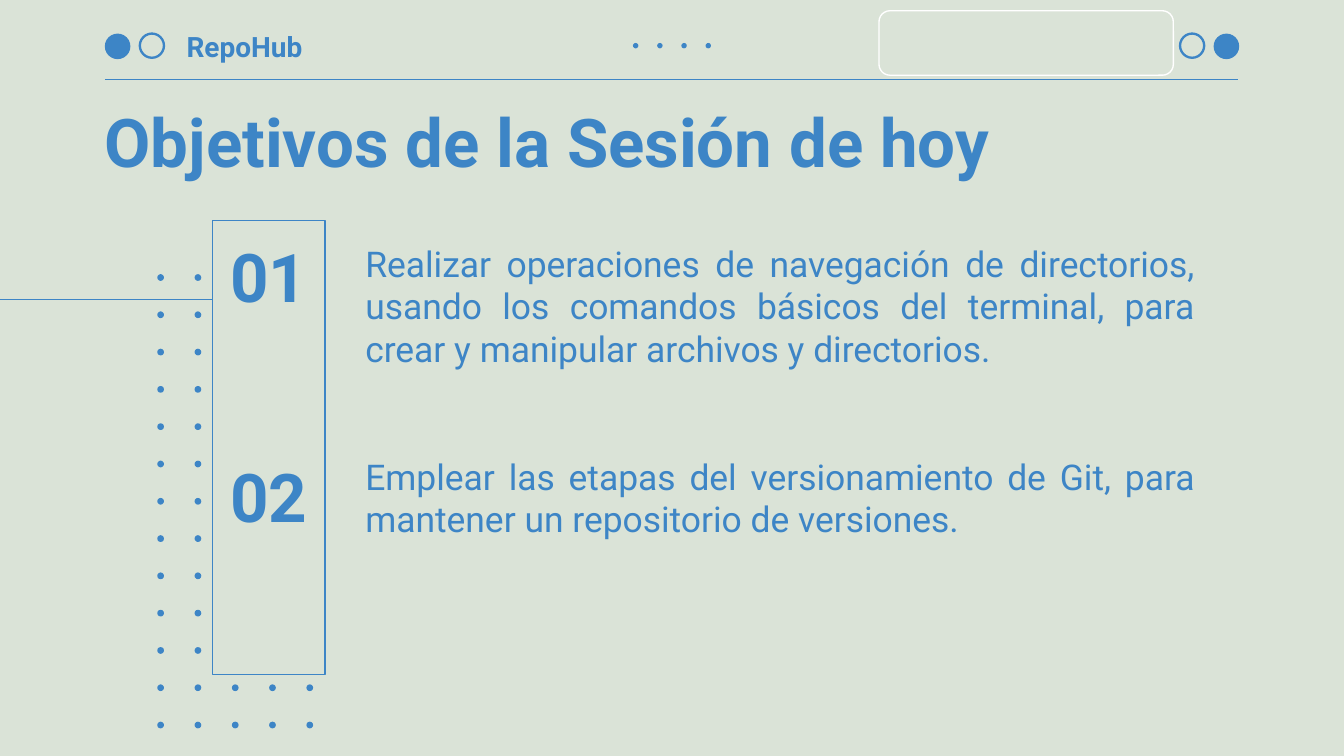
import pptx
import pptx.util
import pptx.dml.color
import pptx.enum.shapes
import pptx.enum.text
import pptx.oxml.ns
from lxml import etree

Inches, Pt = pptx.util.Inches, pptx.util.Pt
SHAPE = pptx.enum.shapes.MSO_SHAPE
ALIGN = pptx.enum.text.PP_ALIGN
ANCHOR = pptx.enum.text.MSO_ANCHOR

# Content
BRAND = "RepoHub"
TITLE = "Objetivos de la Sesión de hoy"
GOALS = [
    "Realizar operaciones de navegación de directorios, usando los comandos "
    "básicos del terminal, para crear y manipular archivos y directorios.",
    "Emplear las etapas del versionamiento de Git, para mantener un "
    "repositorio de versiones.",
]

# Style and grid, in inches
BLUE = pptx.dml.color.RGBColor(0x3D, 0x85, 0xC6)
SAGE = pptx.dml.color.RGBColor(0xDA, 0xE3, 0xD7)
WHITE = pptx.dml.color.RGBColor(0xFF, 0xFF, 0xFF)
FONT = "Roboto"
WIDTH = 10
HEIGHT = WIDTH * 9 / 16
LEFT, RIGHT = 0.78, 9.21
PANEL_LEFT, PANEL_TOP, PANEL_WIDTH, PANEL_HEIGHT = 1.58, 1.64, 0.84, 3.38
NUMBER_TOP, NUMBER_STEP = 1.65, 1.64
DOT_LEFT, DOT_TOP, DOT_SIZE = 1.17, 2.04, 0.05
DOT_ROWS, DOT_COLUMNS, SHORT_COLUMNS, SHORT_ROWS = 13, 5, 2, 11
DOT_STEP = (5.37 - DOT_TOP) / (DOT_ROWS - 1)

deck = pptx.Presentation()
deck.slide_width, deck.slide_height = Inches(WIDTH), Inches(HEIGHT)
page = deck.slides.add_slide(deck.slide_layouts[6])
page.background.fill.solid()
page.background.fill.fore_color.rgb = SAGE


def add_figure(kind, left, top, width, height, fill=None, line=None, weight=0.75):
    figure = page.shapes.add_shape(
        kind, Inches(left), Inches(top), Inches(width), Inches(height))
    figure.shadow.inherit = False
    if fill is None:
        figure.fill.background()
    else:
        figure.fill.solid()
        figure.fill.fore_color.rgb = fill
    if line is None:
        figure.line.fill.background()
    else:
        figure.line.color.rgb = line
        figure.line.width = Pt(weight)
    return figure


def add_rule(start, end, y):
    rule = page.shapes.add_connector(
        pptx.enum.shapes.MSO_CONNECTOR.STRAIGHT,
        Inches(start), Inches(y), Inches(end), Inches(y))
    rule.line.color.rgb = BLUE
    rule.line.width = Pt(0.75)
    etree.SubElement(rule._element.spPr, pptx.oxml.ns.qn("a:effectLst"))


def add_text(paragraphs, left, top, width, height, size, bold=True,
             align=ALIGN.LEFT, anchor=ANCHOR.TOP, gap=0):
    box = page.shapes.add_textbox(
        Inches(left), Inches(top), Inches(width), Inches(height))
    frame = box.text_frame
    frame.word_wrap = True
    frame.vertical_anchor = anchor
    frame.margin_left = frame.margin_right = Inches(0.1)
    frame.margin_top = frame.margin_bottom = Inches(0.1)
    for index, text in enumerate(paragraphs):
        para = frame.add_paragraph() if index else frame.paragraphs[0]
        para.alignment = align
        if index:
            para.space_before = Pt(gap)
        span = para.add_run()
        span.text = text
        span.font.name, span.font.size, span.font.bold = FONT, Pt(size), bold
        span.font.color.rgb = BLUE


# Header: rule, discs, rings, brand and a row of four dots
add_rule(LEFT, RIGHT, 0.59)
for disc_left in (LEFT, 9.03):
    add_figure(SHAPE.OVAL, disc_left, 0.25, 0.19, 0.19, fill=BLUE)
for ring_left in (1.04, 8.78):
    add_figure(SHAPE.OVAL, ring_left, 0.25, 0.18, 0.18, line=BLUE, weight=1.25)
add_text([BRAND], 1.29, 0.16, 1.08, 0.37, 15, anchor=ANCHOR.MIDDLE)
for column in range(4):
    add_figure(SHAPE.OVAL, 4.71 + 0.18 * column, 0.32, 0.04, 0.04, fill=BLUE)

# Dot grid: narrow beside the panel, full width below it
for row in range(DOT_ROWS):
    for column in range(SHORT_COLUMNS if row < SHORT_ROWS else DOT_COLUMNS):
        add_figure(SHAPE.OVAL, DOT_LEFT + DOT_STEP * column,
                   DOT_TOP + DOT_STEP * row, DOT_SIZE, DOT_SIZE, fill=BLUE)

# Number panel with its lead-in line
add_figure(SHAPE.RECTANGLE, PANEL_LEFT, PANEL_TOP, PANEL_WIDTH, PANEL_HEIGHT,
           fill=SAGE, line=BLUE)
add_rule(0, PANEL_LEFT, 2.23)

# Title, goals and their numbers
add_text([TITLE], 0.68, 0.65, 8.54, 0.71, 36)
add_text(GOALS, 2.62, 1.7, 6.37, 1.5, 19, bold=False,
         align=ALIGN.JUSTIFY, gap=45.6)
for index in range(len(GOALS)):
    add_text([f"{index + 1:02d}"], PANEL_LEFT, NUMBER_TOP + NUMBER_STEP * index,
             PANEL_WIDTH, 0.71, 36, align=ALIGN.CENTER)

# Empty label frame in the header
label = add_figure(SHAPE.ROUNDED_RECTANGLE, 6.54, 0.08, 2.19, 0.48,
                   fill=SAGE, line=WHITE)
label.adjustments[0] = 0.17

deck.save("out.pptx")
